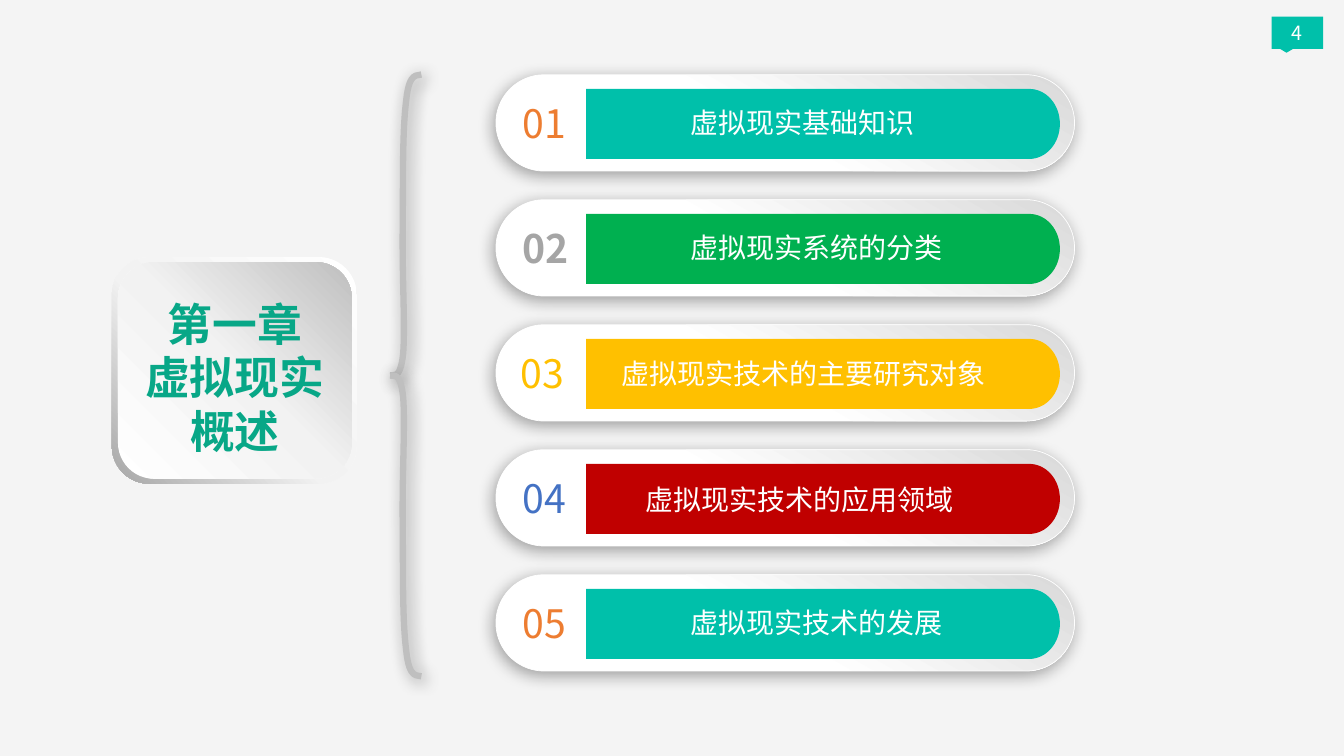
import pptx
import pptx.util
import pptx.dml.color
import pptx.enum.shapes
import pptx.enum.text
import pptx.oxml.ns
import lxml.etree

FONT = "Noto Sans CJK SC"
COLS, ROWS = 133.33, 75
U = pptx.util.Inches(0.1)
MSO = pptx.enum.shapes.MSO_SHAPE
qn = pptx.oxml.ns.qn
rgb = pptx.dml.color.RGBColor.from_string


def paint(sp, fill=None, angle=0, line=None, width=0, shadow=None, curves=()):
    segments = list(sp._element.spPr.iter(qn("a:lnTo")))
    for first in curves:
        start, *rest = segments[first:first + 3]
        curve = start.makeelement(qn("a:cubicBezTo"), {})
        start.addprevious(curve)
        for segment in (start, *rest):
            curve.append(segment[0])
            segment.getparent().remove(segment)
    if isinstance(fill, list):
        sp.fill.gradient()
        sp.fill.gradient_angle = 360 - angle
        stops = sp._element.spPr.find(qn("a:gradFill")).find(qn("a:gsLst"))
        stops.clear()
        for pos, color in fill:
            gs = lxml.etree.SubElement(stops, qn("a:gs"), pos=str(pos * 1000))
            lxml.etree.SubElement(gs, qn("a:srgbClr"), val=color)
    elif fill:
        sp.fill.solid()
        sp.fill.fore_color.rgb = rgb(fill)
    else:
        sp.fill.background()
    if line:
        sp.line.color.rgb = rgb(line)
        sp.line.width = pptx.util.Pt(width)
    else:
        sp.line.fill.background()
    sp.shadow.inherit = False
    if shadow:
        alpha, direction = shadow
        effects = sp._element.spPr.find(qn("a:effectLst"))
        outer = lxml.etree.SubElement(
            effects, qn("a:outerShdw"), blurRad=str(pptx.util.Pt(12)),
            dist=str(pptx.util.Pt(3)), dir=str(direction * 60000),
            algn="ctr", rotWithShape="0")
        clr = lxml.etree.SubElement(outer, qn("a:srgbClr"), val="000000")
        lxml.etree.SubElement(clr, qn("a:alpha"), val=str(alpha * 1000))


def write(sp, lines, size, color, bold=False, centred=False):
    tf = sp.text_frame
    tf.word_wrap = True
    tf.text = "\n".join(lines)
    align = pptx.enum.text.PP_ALIGN
    for p in tf.paragraphs:
        p.alignment = align.CENTER if centred else align.LEFT
        p.font.name = FONT
        p.font.size = pptx.util.Pt(size)
        p.font.bold = bold
        p.font.color.rgb = rgb(color)
        latin = p._p.pPr.find(qn("a:defRPr")).find(qn("a:latin"))
        latin.addnext(latin.makeelement(qn("a:ea"), {"typeface": FONT}))


prs = pptx.Presentation()
prs.slide_width = int(COLS * U)
prs.slide_height = ROWS * U
s = prs.slides.add_slide(prs.slide_layouts[6])
s.background.fill.solid()
s.background.fill.fore_color.rgb = rgb("F4F4F4")

for box, middle, dark, angle in [
    ((11.1, 25.5, 24.3, 22.5), 55, "A6A6A6", 135),
    ((11.7, 26, 23.2, 21.5), 51, "BFBFBF", 315),
]:
    sp = s.shapes.add_shape(MSO.ROUNDED_RECTANGLE, *[int(v * U) for v in box])
    paint(sp, [(0, "FFFFFF"), (middle, "F2F2F2"), (100, dark)], angle)

sp = s.shapes.add_textbox(*[int(v * U) for v in (12.9, 28.9, 20.8, 17.2)])
write(sp, ["第一章", "虚拟现实概述"], 32, "08A787", True, True)

KNOT = 37.25
BRACE = [(41.8, 29.85), (41.5, 29.65), (40.6, 30.3), (40.3, 27.3),
         (39.9, 24.2), (40, 19.5), (39.95, 14.5), (39.9, 9.4), (40.2, 5.1),
         (40, 2.2), (39.7, -0.7), (38.9, 0.2), (38.7, 0)]
for side in (-1, 1):
    pts = [(x * U, (KNOT + side * dy) * U) for x, dy in BRACE]
    fb = s.shapes.build_freeform(*pts[0])
    fb.add_line_segments(pts[1:], close=False)
    paint(fb.convert_to_shape(), line="BFBFBF", width=4.5, shadow=(40, 45),
          curves=range(0, 12, 3))

sp = s.shapes.add_shape(MSO.RECTANGULAR_CALLOUT,
                        *[int(v * U) for v in (126.15, 1.65, 5.1, 3.2)])
sp.adjustments[0], sp.adjustments[1] = -0.21, 0.62
paint(sp, "00C0AA")
write(sp, ["4"], 14, "FFFFFF", centred=True)
sp.text_frame.vertical_anchor = pptx.enum.text.MSO_ANCHOR.MIDDLE

TOP, PITCH = 7.42, 12.4
BAR = [(58.15, 0), (66.5, 0), (70.5, 0), (102.1, 0),
       (103.8, 0), (105.15, 1.55), (105.15, 3.47),
       (105.15, 5.4), (103.8, 6.95), (102.1, 6.95), (66.5, 6.95), (58.15, 6.95)]
topics = [
    ("虚拟现实基础知识", "00C0AA", "ED7D31", 67.5, 28.2, 2.6),
    ("虚拟现实系统的分类", "00B050", "A5A5A5", 67.5, 28.4, 2.6),
    ("虚拟现实技术的主要研究对象", "FFC000", "FFC000", 60.65, 42.1, 2.7),
    ("虚拟现实技术的应用领域", "C00000", "4472C4", 63.05, 36.1, 2.8),
    ("虚拟现实技术的发展", "00C0AA", "ED7D31", 67.5, 28.2, 2.6),
]
for n, (topic, bar, accent, left, width, drop) in enumerate(topics):
    y = TOP + n * PITCH
    sp = s.shapes.add_shape(MSO.ROUNDED_RECTANGLE,
                            *[int(v * U) for v in (49.2, y, 57.4, 9.55)])
    sp.adjustments[0] = 0.5
    paint(sp, [(45, "FFFFFF"), (100, "D9D9D9")], 300, "FFFFFF", 0.5, (34, 135))

    pts = [(x * U, (y + 1.4 + dy) * U) for x, dy in BAR]
    fb = s.shapes.build_freeform(*pts[0])
    fb.add_line_segments(pts[1:])
    paint(fb.convert_to_shape(), bar, curves=(3, 6))

    number_left = 50.7 if n == 2 else 50.85
    sp = s.shapes.add_textbox(*[int(v * U) for v in (number_left, y + 1.95, 7, 5.7)])
    write(sp, [f"{n + 1:02}"], 28, accent, bold=n == 1)
    sp = s.shapes.add_textbox(*[int(v * U) for v in (left, y + drop, width, 4.4)])
    write(sp, [topic], 20, "FFFFFF")

prs.save("out.pptx")
